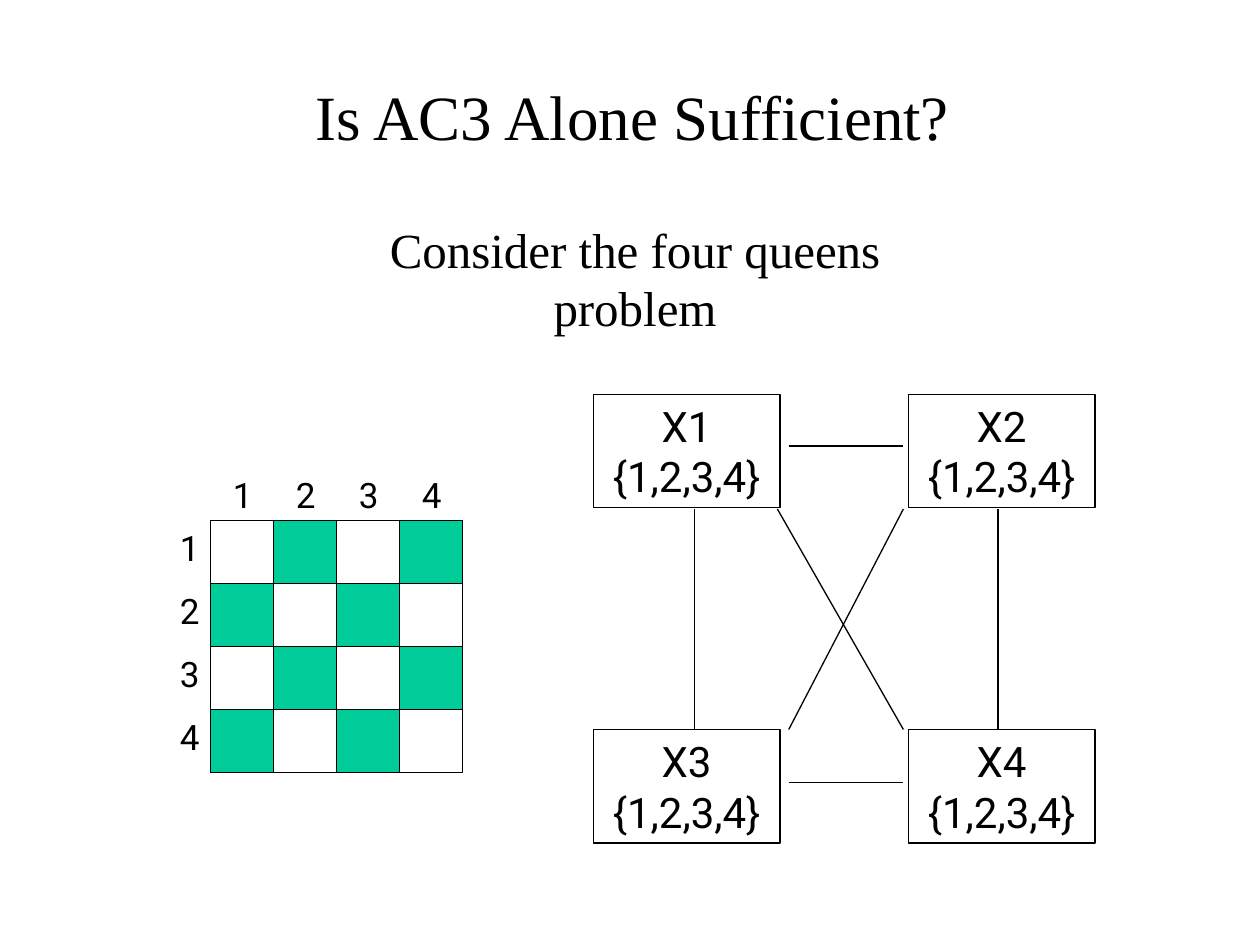
import pptx
import pptx.dml.color
import pptx.enum.shapes
import pptx.enum.text
import pptx.oxml
import pptx.util

Inches = pptx.util.Inches
Pt = pptx.util.Pt
RGBColor = pptx.dml.color.RGBColor
Align = pptx.enum.text.PP_ALIGN
Fit = pptx.enum.text.MSO_AUTO_SIZE
Anchor = pptx.enum.text.MSO_ANCHOR
RECT = pptx.enum.shapes.MSO_SHAPE.RECTANGLE
LINE = pptx.enum.shapes.MSO_CONNECTOR.STRAIGHT

BLACK = RGBColor(0, 0, 0)
GREEN = RGBColor(0, 204, 153)
SERIF = "Times New Roman"
SANS = "Roboto"

deck = pptx.Presentation()
deck.slide_width, deck.slide_height = Inches(10), Inches(7.5)
slide = deck.slides.add_slide(deck.slide_layouts[6])
shapes = slide.shapes


def write(shape, text, face, size, align=Align.CENTER, **extra):
    """Fill a shape with text; extra overrides the frame settings."""
    frame = shape.text_frame
    frame.text = text
    format = {"word_wrap": False, "auto_size": Fit.SHAPE_TO_FIT_TEXT,
              "vertical_anchor": Anchor.TOP}
    for name, value in {**format, **extra}.items():
        setattr(frame, name, value)
    for para in frame.paragraphs:
        para.alignment = align
        for name, value in {"name": face, "size": Pt(size)}.items():
            setattr(para.font, name, value)
        para.font.color.rgb = BLACK


def draw_box(left, top, width, height, fill=None):
    box = shapes.add_shape(RECT, *map(Inches, (left, top, width, height)))
    box.shadow.inherit = False
    box.line.color.rgb = BLACK
    box.line.width = Pt(0.75)
    if fill is None:
        box.fill.background()
    else:
        box.fill.solid()
        box.fill.fore_color.rgb = fill
    return box


# Headings
title = shapes.add_textbox(Inches(0.77), Inches(0.29), Inches(8.5), Inches(1.25))
write(title, "Is AC3 Alone Sufficient?", SERIF, 36, word_wrap=True,
      auto_size=Fit.NONE, vertical_anchor=Anchor.MIDDLE)
lead = shapes.add_textbox(Inches(2.3), Inches(1.69), Inches(5.48), Inches(0.57))
write(lead, "Consider the four queens problem", SERIF, 28)

# Chess board with row and column numbers
LEFT, TOP, CELL, SIDE = 1.67, 4.13, 0.5, 4
draw_box(LEFT, TOP, SIDE * CELL, SIDE * CELL)
for row in range(SIDE):
    for col in range(SIDE):
        if (row + col) % 2:
            draw_box(LEFT + col * CELL, TOP + row * CELL, CELL, CELL, GREEN)

for i in range(SIDE):
    for left, top in ((1.33, TOP + i * CELL), (1.75 + i * CELL, 3.71)):
        label = shapes.add_textbox(Inches(left), Inches(top), Inches(0.36), Inches(0.44))
        write(label, str(i + 1), SANS, 20, Align.LEFT)

# Constraint graph
for i in range(4):
    row, col = divmod(i, 2)
    node = draw_box(4.71 + 2.5 * col, 3.13 + 2.66 * row, 1.48, 0.9)
    write(node, f"X{i + 1}\n{{1,2,3,4}}", SANS, 24)

edges = [
    (6.26, 3.54, 7.17, 3.54),
    (6.26, 6.21, 7.17, 6.21),
    (5.51, 4.04, 5.51, 5.79),
    (7.92, 4.04, 7.92, 5.79),
    (6.17, 4.04, 7.17, 5.79),
    (7.17, 4.04, 6.26, 5.79),
]
for ends in edges:
    edge = shapes.add_connector(LINE, *map(Inches, ends))
    edge.line.color.rgb = BLACK
    edge.line.width = Pt(0.75)
    props = edge.element.spPr
    props.append(pptx.oxml.parse_xml(
        '<a:effectLst xmlns:a="http://schemas.openxmlformats.org/drawingml/2006/main"/>'))

deck.save("out.pptx")
